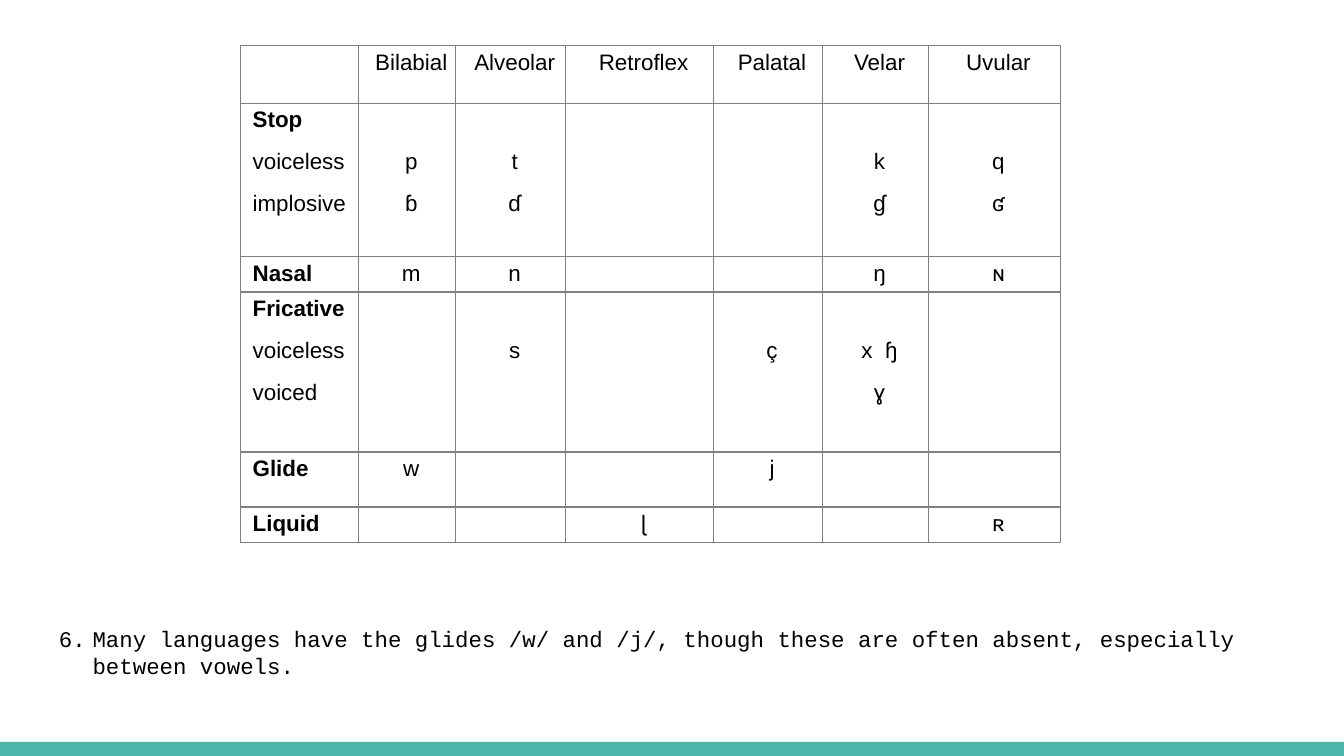
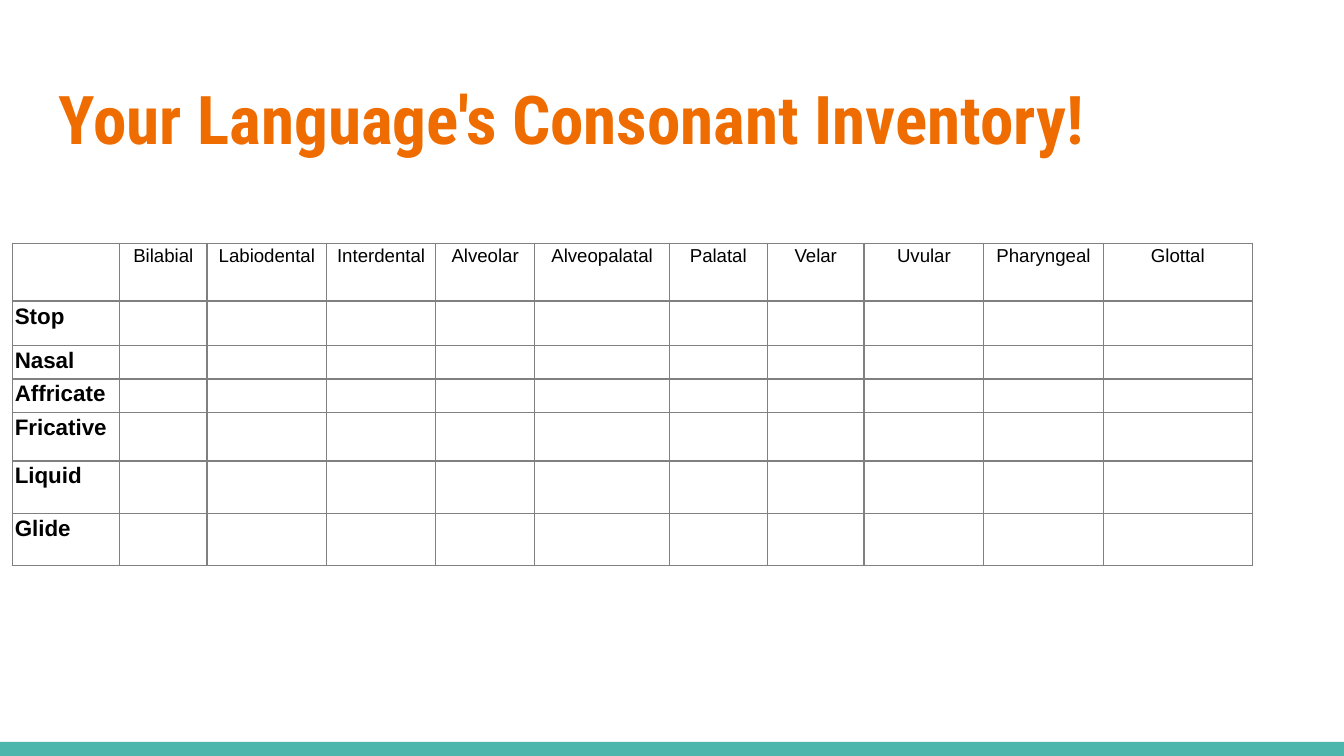
from dataclasses import dataclass

from lxml.etree import SubElement
from pptx import Presentation
from pptx.dml.color import RGBColor as RGB
from pptx.enum.shapes import MSO_SHAPE as SHAPE
from pptx.enum.text import MSO_ANCHOR as ANCHOR, PP_ALIGN as ALIGN
from pptx.oxml.ns import qn
from pptx.util import Inches, Pt

COLS, ROWS = 100, 56.25


@dataclass(frozen=True)
class Theme:
    paper: str = "FFFFFF"
    ink: str = "000000"
    band: str = "4DB6AC"
    accent: str = "EF6C00"
    rule: str = "808080"
    table_font: str = "Arial"
    body_font: str = "Courier New"
    title_font: str = "Roboto Condensed"
    title_size: int = 36
    text_size: int = 12
    small_size: int = 10
    rule_width: float = 0.75


def write(tf, lines, *, font, size, color, bold=(), align=ALIGN.LEFT,
          indent=0, hanging=0, gap=0, after=0, number=None):
    for i, line in enumerate(lines):
        p = tf.paragraphs[0] if i == 0 else tf.add_paragraph()
        p.alignment = align
        pPr = p._p.get_or_add_pPr()
        pPr.set("marL", str(Inches(indent)))
        pPr.set("indent", str(Inches(hanging)))
        if number:
            clr = SubElement(pPr, qn("a:buClr"))
            SubElement(clr, qn("a:srgbClr"), val=color)
            SubElement(pPr, qn("a:buAutoNum"), type="arabicPeriod", startAt=str(number))
        if i and gap:
            p.space_before = Pt(gap)
        if after:
            p.space_after = Pt(after)
        if not line:
            SubElement(p._p, qn("a:endParaRPr"), sz=str(size * 100))
            continue
        r = p.add_run()
        r.text = line
        r.font.name, r.font.size = font, Pt(size)
        r.font.bold = i in bold
        r.font.color.rgb = RGB.from_string(color)


class Deck:
    def __init__(self, theme):
        self.theme = theme
        self.prs = Presentation()
        self.prs.slide_width, self.prs.slide_height = Inches(10), Inches(5.625)

    def x(self, cols):
        return round(self.prs.slide_width * cols / COLS)

    def y(self, rows):
        return round(self.prs.slide_height * rows / ROWS)

    def box(self, left, top, width, height):
        return self.x(left), self.y(top), self.x(width), self.y(height)

    def slide(self):
        self.s = self.prs.slides.add_slide(self.prs.slide_layouts[6])
        self.band(0, 55.2, COLS, 1.05)

    def band(self, *at):
        sp = self.s.shapes.add_shape(SHAPE.RECTANGLE, *self.box(*at))
        sp.shadow.inherit = False
        sp.fill.solid()
        sp.fill.fore_color.rgb = RGB.from_string(self.theme.band)
        sp.line.fill.background()

    def text(self, at, line, anchor=ANCHOR.TOP, **fmt):
        tf = self.s.shapes.add_textbox(*self.box(*at)).text_frame
        tf.word_wrap = True
        tf.vertical_anchor = anchor
        tf.margin_left = tf.margin_right = tf.margin_top = tf.margin_bottom = Inches(0.1)
        write(tf, [line], **fmt)

    def title(self, line):
        t = self.theme
        self.text((3.4, 4.9, 93.2, 7.7), line, ANCHOR.MIDDLE, font=t.title_font,
                  size=t.title_size, color=t.accent, bold=(0,))

    def numbered(self, at, line, number):
        t = self.theme
        self.text(at, line, font=t.body_font, size=t.text_size, color=t.ink,
                  indent=0.25, hanging=-0.33, after=10, number=number)

    def cell(self, cell, lines, pad, drop=0, **fmt):
        t = self.theme
        cell.margin_left = cell.margin_right = cell.margin_bottom = Inches(pad)
        cell.margin_top = Inches(pad + drop)
        tcPr = cell._tc.get_or_add_tcPr()
        for side in "LRTB":
            ln = SubElement(tcPr, qn(f"a:ln{side}"), w=str(Pt(t.rule_width)))
            SubElement(SubElement(ln, qn("a:solidFill")), qn("a:srgbClr"), val=t.rule)
        cell.fill.solid()
        cell.fill.fore_color.rgb = RGB.from_string(t.paper)
        write(cell.text_frame, lines, font=t.table_font, color=t.ink, **fmt)

    def table(self, left, top, widths, heights, rows, head_size, pad, indent=0):
        at = self.box(left, top, sum(widths), sum(heights))
        tbl = self.s.shapes.add_table(len(heights), len(widths), *at).table
        tbl.first_row = tbl.horz_banding = False
        for col, width in zip(tbl.columns, widths):
            col.width = self.x(width)
        for i, (height, row) in enumerate(zip(heights, rows)):
            tbl.rows[i].height = self.y(height)
            grouped = "|" in row[0]
            for j in range(len(widths)):
                label = j == 0
                lines = row[j].split("|") if j < len(row) else [""]
                drop = 0.31 if grouped and not label and lines[0] else 0
                self.cell(tbl.cell(i, j), lines, pad, drop,
                          size=self.theme.text_size if i else head_size,
                          bold=(0,) if label else (), indent=indent, gap=9,
                          align=ALIGN.LEFT if label else ALIGN.CENTER)

    def save(self):
        self.prs.save("out.pptx")


def sample_inventory(deck):
    deck.slide()
    deck.table(
        17.9, 3.4,
        widths=[8.8, 7.2, 8.2, 11, 8.1, 7.9, 9.8],
        heights=[4.3, 11.4, 2.6, 11.9, 4.1, 2.6],
        rows=[
            ["", "Bilabial", "Alveolar", "Retroflex", "Palatal", "Velar", "Uvular"],
            ["Stop|voiceless|implosive", "p|ɓ", "t|ɗ", "", "", "k|ɠ", "q|ʛ"],
            ["Nasal", "m", "n", "", "", "ŋ", "ɴ"],
            ["Fricative|voiceless|voiced", "", "s", "", "ç", "x  ɧ|ɣ"],
            ["Glide", "w", "", "", "j"],
            ["Liquid", "", "", "ɭ", "", "", "ʀ"],
        ],
        head_size=deck.theme.text_size, pad=0.03, indent=0.06)
    deck.numbered((3.4, 45.5, 93.2, 9.5),
                  "Many languages have the glides /w/ and /j/, though these are "
                  "often absent, especially between vowels.", 6)


def own_inventory(deck):
    deck.slide()
    deck.title("Your Language's Consonant Inventory!")
    places = ["Bilabial", "Labiodental", "Interdental", "Alveolar", "Alveopalatal",
              "Palatal", "Velar", "Uvular", "Pharyngeal", "Glottal"]
    manners = ["Stop", "Nasal", "Affricate", "Fricative", "Liquid", "Glide"]
    deck.table(
        0.9, 18.1,
        widths=[8, 6.5, 8.9, 8.1, 7.4, 10, 7.3, 7.2, 8.9, 8.9, 11.1],
        heights=[4.3, 3.3, 2.5, 2.5, 3.6, 3.9, 3.9],
        rows=[["", *places], *([manner] for manner in manners)],
        head_size=deck.theme.small_size, pad=0.02)


def main():
    deck = Deck(Theme())
    sample_inventory(deck)
    own_inventory(deck)
    deck.save()


if __name__ == "__main__":
    main()
